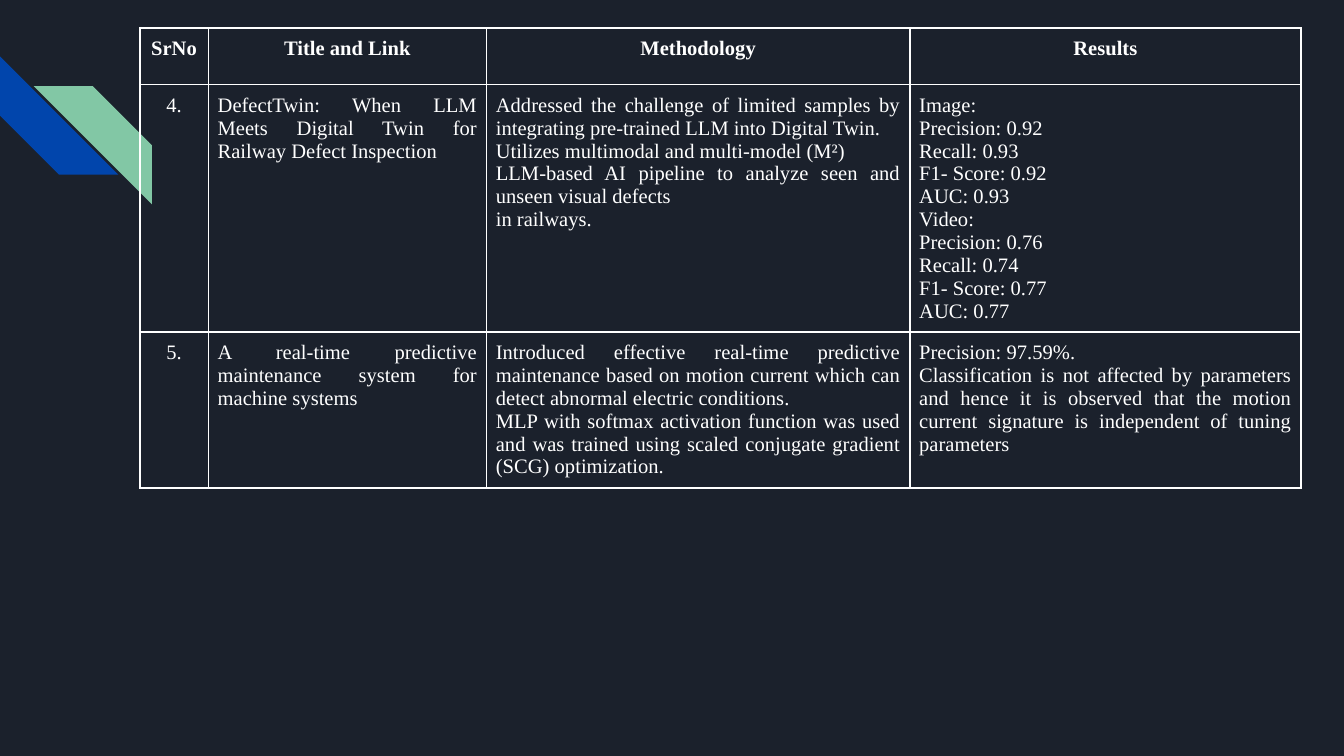
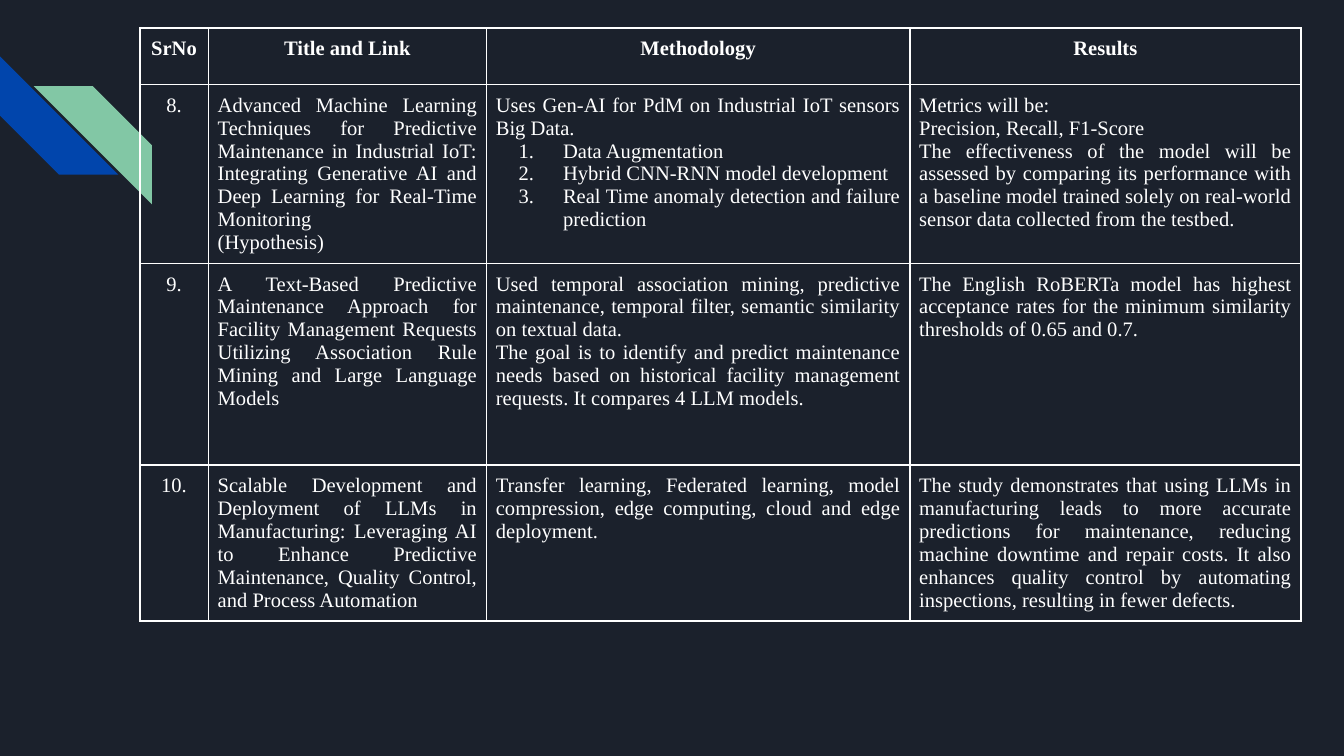
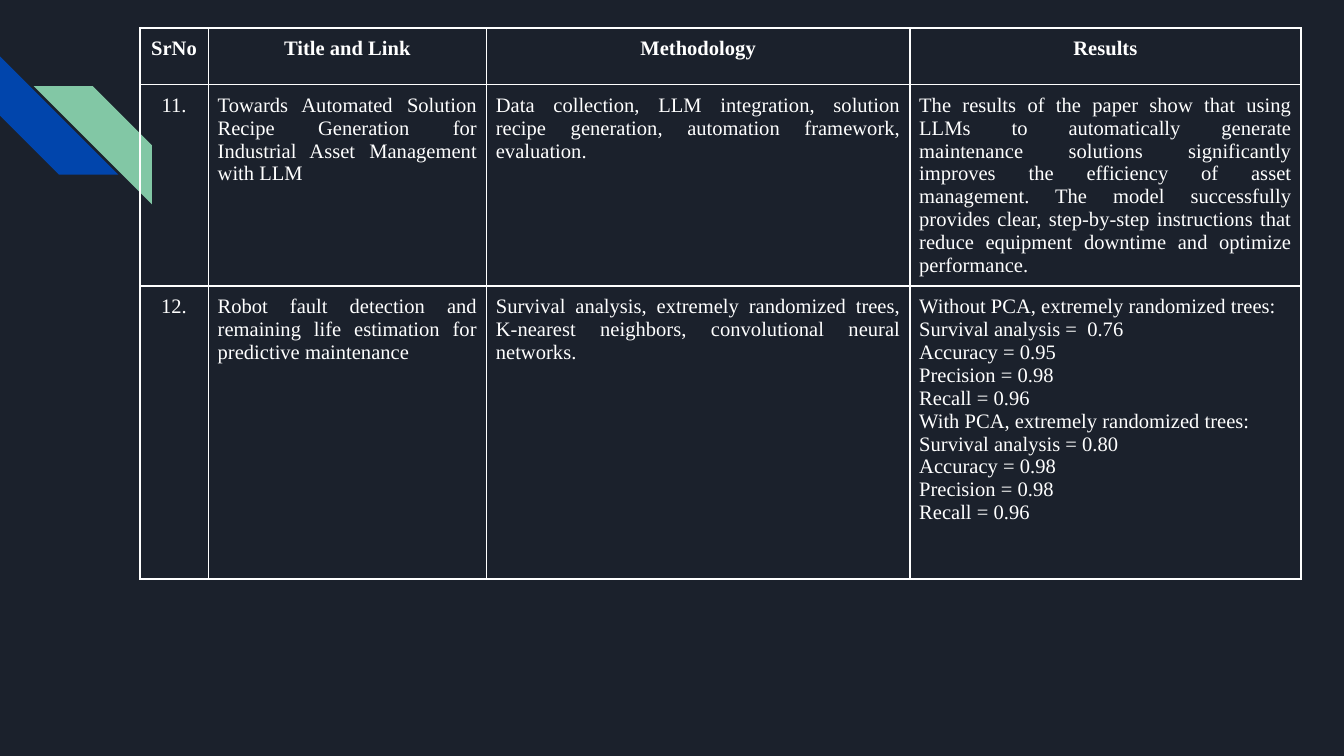
from dataclasses import dataclass

from lxml.etree import SubElement
from pptx import Presentation
from pptx.dml.color import RGBColor
from pptx.enum.shapes import MSO_SHAPE
from pptx.enum.text import PP_ALIGN
from pptx.oxml.ns import qn
from pptx.util import Inches, Pt


@dataclass(frozen=True)
class Theme:
    background: str = "1B212C"
    blue: str = "0145AC"
    green: str = "82C7A5"
    text: str = "FFFFFF"
    font: str = "Times New Roman"
    size: int = 11
    border: int = 1


THEME = Theme()

HEADERS = ["SrNo", "Title and Link", "Methodology", "Results"]
COLUMN_WIDTHS = [0.51, 2.07, 3.15, 2.91]
TABLE_LEFT, TABLE_TOP = 1.04, 0.21
ROW_HEIGHT = 0.42
TALL_ROWS = {"9.": 1.5, "12.": 2.18}
CELL_MARGIN = 0.07

# One list per slide; a row holds number, title, methodology and results.
# Each cell is a list of paragraphs, and a tuple inside it is a numbered list.
SURVEY = [
    [
        (["4."],
         ["DefectTwin: When LLM Meets Digital Twin for Railway Defect Inspection"],
         ["Addressed the challenge of limited samples by integrating pre-trained LLM "
          "into Digital Twin.",
          "Utilizes multimodal and multi-model (M²)",
          "LLM-based AI pipeline to analyze seen and unseen visual defects",
          "in railways."],
         ["Image:", "Precision: 0.92", "Recall: 0.93", "F1- Score: 0.92", "AUC: 0.93",
          "Video:", "Precision: 0.76", "Recall: 0.74", "F1- Score: 0.77", "AUC: 0.77"]),
        (["5."],
         ["A real-time predictive maintenance system for machine systems"],
         ["Introduced effective real-time predictive maintenance based on motion current "
          "which can detect abnormal electric conditions.",
          "MLP with softmax activation function was used and was trained using scaled "
          "conjugate gradient (SCG) optimization."],
         ["Precision: 97.59%.",
          "Classification is not affected by parameters and hence it is observed that "
          "the motion current signature is independent of tuning parameters"]),
    ],
    [
        (["8."],
         ["Advanced Machine Learning Techniques for Predictive Maintenance in Industrial "
          "IoT: Integrating Generative AI and Deep Learning for Real-Time Monitoring",
          "(Hypothesis)"],
         ["Uses Gen-AI for PdM on Industrial IoT sensors Big Data.",
          ("Data Augmentation",
           "Hybrid CNN-RNN model development",
           "Real Time anomaly detection and failure prediction")],
         ["Metrics will be:",
          "Precision, Recall, F1-Score",
          "The effectiveness of the model will be assessed by comparing its performance "
          "with a baseline model trained solely on real-world sensor data collected from "
          "the testbed."]),
        (["9."],
         ["A Text-Based Predictive Maintenance Approach for Facility Management Requests "
          "Utilizing Association Rule Mining and Large Language Models"],
         ["Used temporal association mining, predictive maintenance, temporal filter, "
          "semantic similarity on textual data.",
          "The goal is to identify and predict maintenance needs based on historical "
          "facility management requests. It compares 4 LLM models."],
         ["The English RoBERTa model has highest acceptance rates for the minimum "
          "similarity thresholds of 0.65 and 0.7."]),
        (["10."],
         ["Scalable Development and Deployment of LLMs in Manufacturing: Leveraging AI to "
          "Enhance Predictive Maintenance, Quality Control, and Process Automation"],
         ["Transfer learning, Federated learning, model compression, edge computing, "
          "cloud and edge deployment."],
         ["The study demonstrates that using LLMs in manufacturing leads to more accurate "
          "predictions for maintenance, reducing machine downtime and repair costs. It "
          "also enhances quality control by automating inspections, resulting in fewer "
          "defects."]),
    ],
    [
        (["11."],
         ["Towards Automated Solution Recipe Generation for Industrial Asset Management "
          "with LLM"],
         ["Data collection, LLM integration, solution recipe generation, automation "
          "framework, evaluation."],
         ["The results of the paper show that using LLMs to automatically generate "
          "maintenance solutions significantly improves the efficiency of asset "
          "management. The model successfully provides clear, step-by-step instructions "
          "that reduce equipment downtime and optimize performance."]),
        (["12."],
         ["Robot fault detection and remaining life estimation for predictive maintenance"],
         ["Survival analysis, extremely randomized trees, K-nearest neighbors, "
          "convolutional neural networks."],
         ["Without PCA, extremely randomized trees:", "Survival analysis =  0.76",
          "Accuracy = 0.95", "Precision = 0.98", "Recall = 0.96",
          "With PCA, extremely randomized trees:", "Survival analysis = 0.80",
          "Accuracy = 0.98", "Precision = 0.98", "Recall = 0.96"]),
    ],
]


def rgb(color):
    return RGBColor.from_string(color)


def add_stripe(slide, left, top, color):
    side = Inches(0.88)
    sp = slide.shapes.add_shape(
        MSO_SHAPE.DIAGONAL_STRIPE, Inches(left), Inches(top), side, side)
    sp.adjustments[0] = 0.5
    sp.shadow.inherit = False
    sp.fill.solid()
    sp.fill.fore_color.rgb = rgb(color)
    sp.line.fill.background()
    return sp


def decorate_layout(layout, slide):
    """Draw the corner stripes on a slide and move them to its layout."""
    for ph in list(layout.placeholders):
        layout.shapes.element.remove(ph.element)
    blue = add_stripe(slide, 0, 0.42, THEME.blue)
    blue.rotation = 270
    green = add_stripe(slide, 0.25, 0.64, THEME.green)
    green.element.spPr.find(qn("a:xfrm")).set("flipH", "1")
    for sp in (blue, green):
        layout.shapes.element.append(sp.element)


def set_borders(cell):
    tcPr = cell._tc.get_or_add_tcPr()
    for side in ("lnL", "lnR", "lnT", "lnB"):
        ln = SubElement(tcPr, qn(f"a:{side}"), w=str(Pt(THEME.border)))
        fill = SubElement(ln, qn("a:solidFill"))
        SubElement(fill, qn("a:srgbClr"), val=THEME.text)


def number_paragraph(p):
    pPr = p._p.get_or_add_pPr()
    pPr.set("marL", str(Inches(0.5)))
    pPr.set("indent", str(Inches(-0.33)))
    color = SubElement(pPr, qn("a:buClr"))
    SubElement(color, qn("a:srgbClr"), val=THEME.text)
    SubElement(pPr, qn("a:buFont"), typeface=THEME.font)
    SubElement(pPr, qn("a:buAutoNum"), type="arabicPeriod")


def fill_cell(cell, content, align, bold):
    cell.margin_left = cell.margin_right = Inches(CELL_MARGIN)
    cell.margin_top = cell.margin_bottom = Inches(CELL_MARGIN)
    set_borders(cell)
    cell.fill.background()
    lines = []
    for part in content:
        if isinstance(part, tuple):
            lines += [(item, True) for item in part]
        else:
            lines.append((part, False))
    tf = cell.text_frame
    for i, (text, numbered) in enumerate(lines):
        p = tf.add_paragraph() if i else tf.paragraphs[0]
        p.alignment = align
        if numbered:
            number_paragraph(p)
        r = p.add_run()
        r.text = text
        r.font.name = THEME.font
        r.font.size = Pt(THEME.size)
        r.font.bold = bold
        r.font.color.rgb = rgb(THEME.text)


def add_survey_table(slide, papers):
    rows = [[[header] for header in HEADERS], *papers]
    heights = [TALL_ROWS.get(row[0][0], ROW_HEIGHT) for row in rows]
    table = slide.shapes.add_table(
        len(rows), len(HEADERS), Inches(TABLE_LEFT), Inches(TABLE_TOP),
        Inches(sum(COLUMN_WIDTHS)), Inches(sum(heights))).table
    table.first_row = table.horz_banding = False
    for column, width in zip(table.columns, COLUMN_WIDTHS):
        column.width = Inches(width)
    for i, row in enumerate(rows):
        table.rows[i].height = Inches(heights[i])
        for j, content in enumerate(row):
            centred = i == 0 or j == 0
            align = PP_ALIGN.CENTER if centred else PP_ALIGN.JUSTIFY
            fill_cell(table.cell(i, j), content, align, bold=i == 0)


def main():
    prs = Presentation()
    prs.slide_width = Inches(10)
    prs.slide_height = prs.slide_width * 9 // 16
    background = prs.slide_master.background.fill
    background.solid()
    background.fore_color.rgb = rgb(THEME.background)
    layout = prs.slide_layouts.get_by_name("Blank")
    slides = [prs.slides.add_slide(layout) for _ in SURVEY]
    decorate_layout(layout, slides[0])
    for slide, papers in zip(slides, SURVEY):
        add_survey_table(slide, papers)
    prs.save("out.pptx")


if __name__ == "__main__":
    main()
